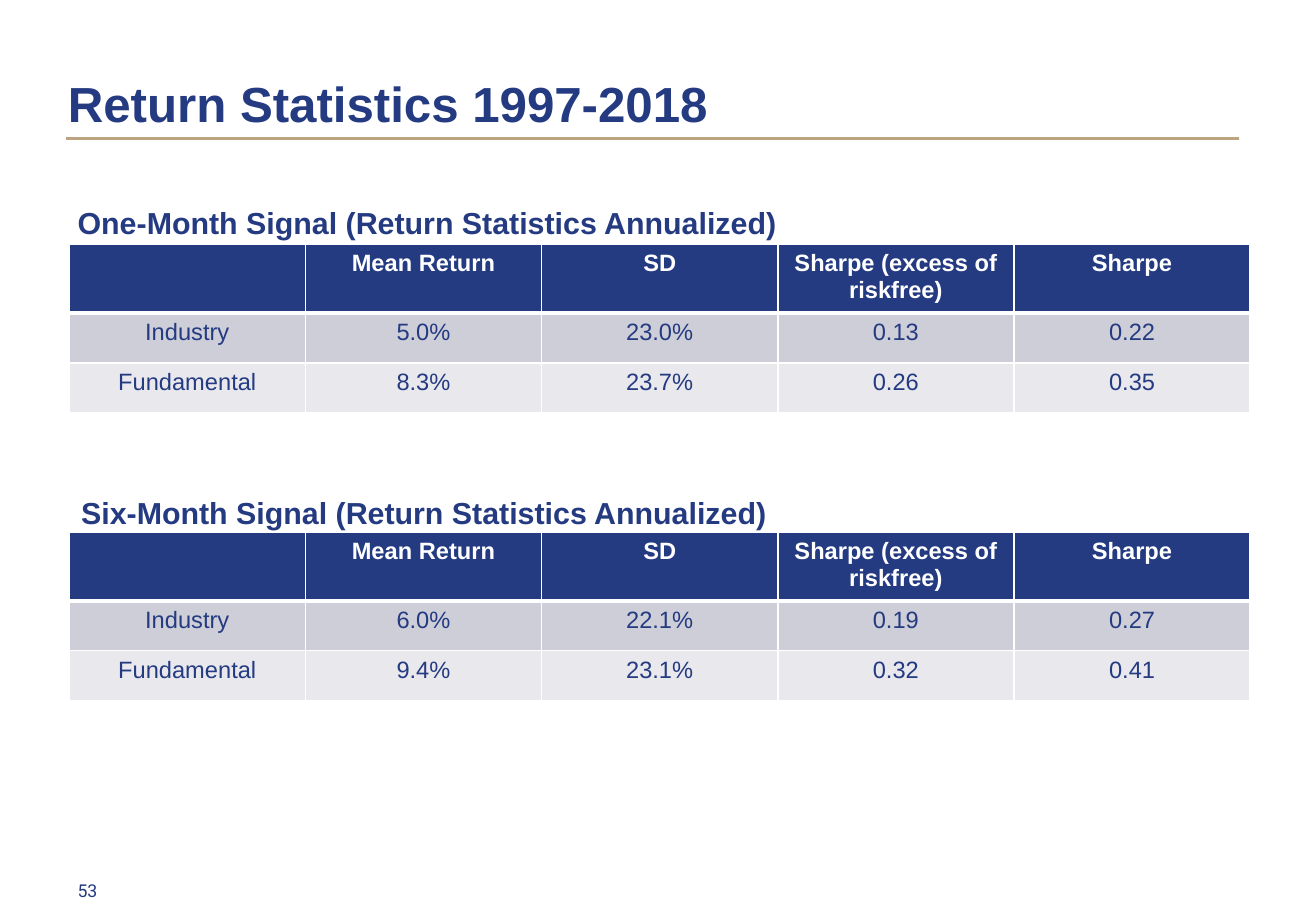
from dataclasses import dataclass

from lxml import etree
from pptx import Presentation
from pptx.dml.color import RGBColor
from pptx.enum.shapes import MSO_CONNECTOR
from pptx.enum.text import MSO_ANCHOR, PP_ALIGN
from pptx.oxml import parse_xml
from pptx.oxml.ns import nsdecls, qn
from pptx.util import Inches, Pt

STRAIGHT = MSO_CONNECTOR.STRAIGHT
TOP, BOTTOM = MSO_ANCHOR.TOP, MSO_ANCHOR.BOTTOM
CENTER = PP_ALIGN.CENTER

SLIDE_WIDTH, SLIDE_HEIGHT = Inches(10.83), Inches(7.5)


@dataclass(frozen=True)
class Theme:
    navy: str = "243A81"
    gold: str = "BCA480"
    white: str = "FFFFFF"
    bands: tuple = ("CDCED8", "E8E8ED")
    font: str = "Arial"
    number_font: str = "Roboto"
    title_size: float = 29.2
    heading_size: float = 18
    table_size: float = 14
    number_size: float = 10.5
    rule_width: float = 2.25
    border_width: float = 1
    header_border_width: float = 3


@dataclass(frozen=True)
class Box:
    """A region in percent of the slide's width and height."""
    left: float
    top: float
    width: float
    height: float

    def emu(self):
        return (across(self.left), down(self.top),
                across(self.width), down(self.height))


THEME = Theme()
BODY_ROW = 5.47  # percent of the slide's height

HEADER = ("", "Mean Return", "SD", "Sharpe (excess of riskfree)", "Sharpe")
SIGNALS = (
    ("One-Month Signal (Return Statistics Annualized)",
     Box(4.99, 21.73, 89.75, 5.33), Box(5.26, 26.8, 89.75, 18.01),
     (("Industry", "5.0%", "23.0%", "0.13", "0.22"),
      ("Fundamental", "8.3%", "23.7%", "0.26", "0.35"))),
    ("Six-Month Signal (Return Statistics Annualized)",
     Box(5.26, 53.6, 89.47, 5.33), Box(5.26, 58.4, 89.75, 18.41),
     (("Industry", "6.0%", "22.1%", "0.19", "0.27"),
      ("Fundamental", "9.4%", "23.1%", "0.32", "0.41"))),
)


def across(percent):
    return round(SLIDE_WIDTH * percent / 100)


def down(percent):
    return round(SLIDE_HEIGHT * percent / 100)


def style_runs(paragraph, size, color, bold=False, font=THEME.font):
    for run in paragraph.runs:
        run.font.name = font
        run.font.size = Pt(size)
        run.font.bold = bold
        run.font.color.rgb = RGBColor.from_string(color)


def add_text(slide, box, text, size, bold=True, font=THEME.font, anchor=TOP):
    text_frame = slide.shapes.add_textbox(*box.emu()).text_frame
    text_frame.word_wrap = True
    text_frame.vertical_anchor = anchor
    text_frame.text = text
    paragraph = text_frame.paragraphs[0]
    style_runs(paragraph, size, THEME.navy, bold, font)
    return paragraph


def set_borders(cell, bottom_width):
    """Draw white lines on the four sides, placed before the cell's fill."""
    properties = cell._tc.get_or_add_tcPr()
    widths = {"lnL": THEME.border_width, "lnR": THEME.border_width,
              "lnT": THEME.border_width, "lnB": bottom_width}
    for position, (side, width) in enumerate(widths.items()):
        properties.insert(position, parse_xml(
            f'<a:{side} {nsdecls("a")} w="{Pt(width)}"><a:solidFill>'
            f'<a:srgbClr val="{THEME.white}"/></a:solidFill></a:{side}>'))


def fill_cell(cell, text, fill, color, bold, bottom_width):
    cell.fill.solid()
    cell.fill.fore_color.rgb = RGBColor.from_string(fill)
    cell.text_frame.text = text
    paragraph = cell.text_frame.paragraphs[0]
    paragraph.alignment = CENTER
    style_runs(paragraph, THEME.table_size, color, bold)
    set_borders(cell, bottom_width)


def add_title(slide, box, text):
    # Gold rule along the bottom of the title region
    bottom = down(box.top + box.height)
    rule = slide.shapes.add_connector(
        STRAIGHT, across(box.left + 0.74), bottom,
        across(box.left + box.width - 1.67), bottom)
    rule.line.color.rgb = RGBColor.from_string(THEME.gold)
    rule.line.width = Pt(THEME.rule_width)
    etree.SubElement(rule._element.spPr, qn("a:effectLst"))

    paragraph = add_text(slide, box, text, THEME.title_size, anchor=BOTTOM)
    paragraph.line_spacing = 1.5


def add_statistics_table(slide, box, body):
    rows = (HEADER, *body)
    table = slide.shapes.add_table(len(rows), len(HEADER), *box.emu()).table
    for column in table.columns:
        column.width = across(box.width / len(HEADER))
    for row in table.rows:
        row.height = down(BODY_ROW)
    table.rows[0].height = down(box.height - BODY_ROW * len(body))

    for row_index, values in enumerate(rows):
        if row_index == 0:
            look = (THEME.navy, THEME.white, True, THEME.header_border_width)
        else:
            band = THEME.bands[(row_index - 1) % len(THEME.bands)]
            look = (band, THEME.navy, False, THEME.border_width)
        for column_index, value in enumerate(values):
            cell = table.cell(row_index, column_index)
            fill_cell(cell, value, *look)
            if row_index == 1:
                # The header's thick lower line is shared with this row
                top_line = cell._tc.tcPr.find(qn("a:lnT"))
                top_line.set("w", str(Pt(THEME.header_border_width)))


def add_page_number(slide, box, number):
    add_text(slide, box, number, THEME.number_size, False, THEME.number_font)


def main():
    presentation = Presentation()
    presentation.slide_width = SLIDE_WIDTH
    presentation.slide_height = SLIDE_HEIGHT
    slide = presentation.slides.add_slide(presentation.slide_layouts[6])

    add_title(slide, Box(4.25, 3.87, 91.6, 11.33),
              "Return Statistics 1997-2018")
    for heading, heading_box, table_box, body in SIGNALS:
        add_statistics_table(slide, table_box, body)
        add_text(slide, heading_box, heading, THEME.heading_size)
    add_page_number(slide, Box(4.99, 95.87, 9.14, 3.87), "53")

    presentation.save("out.pptx")


if __name__ == "__main__":
    main()
